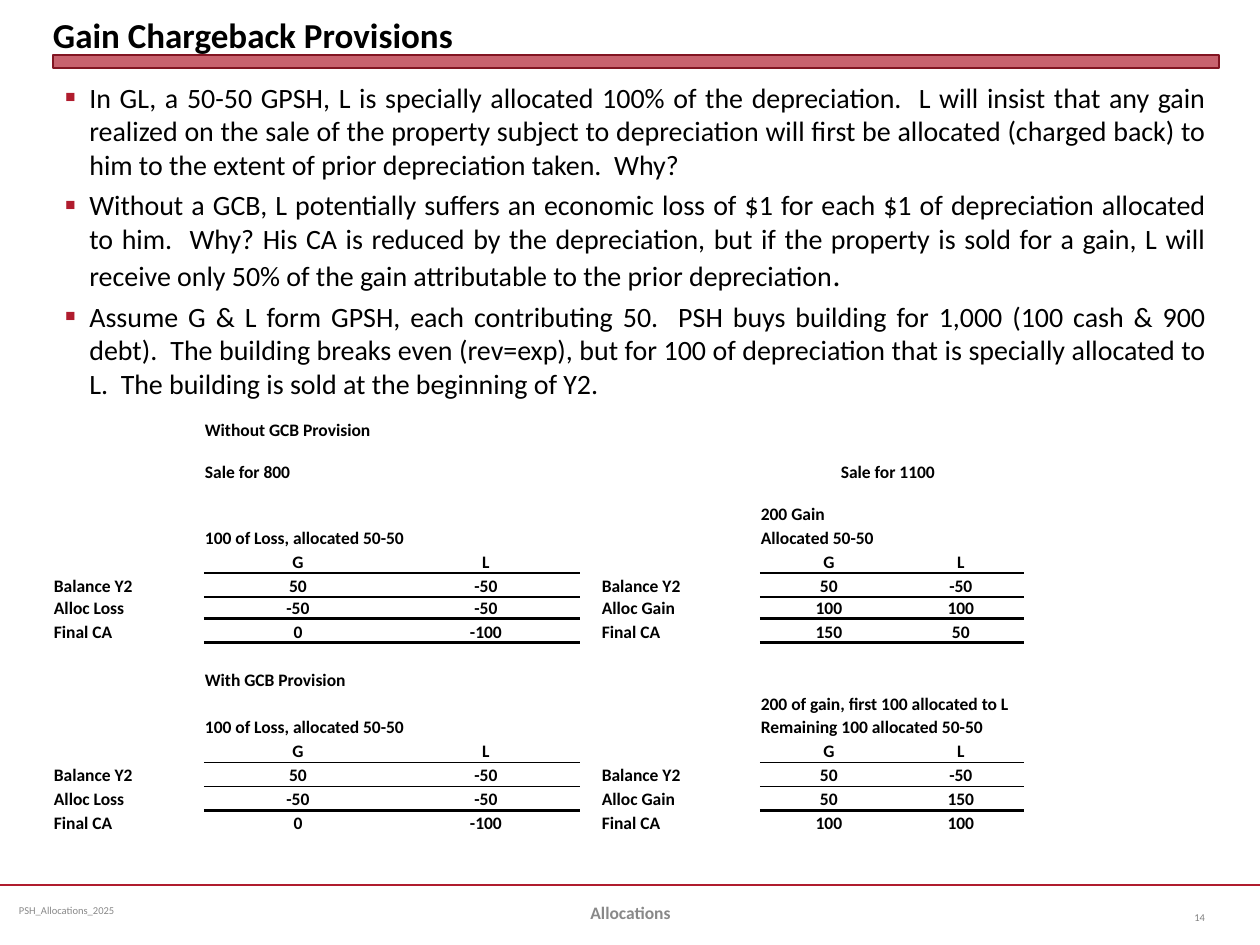
from dataclasses import dataclass

import pptx
import pptx.dml.color
import pptx.enum.shapes
import pptx.enum.text
import pptx.oxml
import pptx.oxml.ns
import pptx.util

ALIGN = pptx.enum.text.PP_ALIGN
ANCHOR = pptx.enum.text.MSO_ANCHOR
qn = pptx.oxml.ns.qn
NS = pptx.oxml.ns.nsdecls("a")


@dataclass(frozen=True)
class Theme:
    font: str = "Calibri"
    black: str = "000000"
    red: str = "B01C2E"
    dark_red: str = "821522"
    footer: str = "898989"
    number: str = "808080"
    title: int = 20
    body: int = 16
    large: int = 18
    table: int = 10
    small: int = 6


@dataclass(frozen=True)
class Box:
    left: int
    top: int
    width: int
    height: int

    def emu(self) -> tuple:
        return px(self.left), px(self.top), px(self.width), px(self.height)


@dataclass(frozen=True)
class Label:
    text: str
    box: Box
    size: int
    color: str
    bold: bool = False
    align: ALIGN = ALIGN.LEFT
    anchor: ANCHOR = ANCHOR.MIDDLE
    inset: tuple = (13, 6)


@dataclass(frozen=True)
class Heading:
    row: int
    col: int
    span: int
    text: str
    align: ALIGN = ALIGN.LEFT


@dataclass(frozen=True)
class Ledger:
    """Capital accounts of G and L; col holds the row names."""
    row: int
    col: int
    item: str
    allocated: tuple
    final: tuple


T = Theme()

LABELS = [
    Label("Gain Chargeback Provisions", Box(53, 6, 1166, 50), T.title, T.black,
          True, anchor=ANCHOR.BOTTOM, inset=(0, 0)),
    Label("PSH_Allocations_2025", Box(10, 885, 325, 50), T.small, T.footer, inset=(9, 5)),
    Label("Allocations", Box(431, 888, 399, 50), T.table, T.footer, True, ALIGN.CENTER),
    Label("14", Box(1155, 892, 63, 50), T.small, T.number, align=ALIGN.RIGHT),
]

# Each bullet is a list of (text, size) runs
BULLETS = [
    [("In GL, a 50-50 GPSH, L is specially allocated 100% of the depreciation.  L will insist "
      "that any gain realized on the sale of the property subject to depreciation will first be "
      "allocated (charged back) to him to the extent of prior depreciation taken.  Why?", T.body)],
    [("Without a GCB, L potentially suffers an economic loss of $1 for each $1 of depreciation "
      "allocated to him.  Why? His CA is reduced by the depreciation, but if the property is sold "
      "for a gain, L will receive only 50% of the gain attributable to the prior depreciation",
      T.body), (".", T.large)],
    [("Assume G & L form GPSH, each contributing 50.  PSH buys building for 1,000 (100 cash & 900 "
      "debt).  The building breaks even (rev=exp), but for 100 of depreciation that is specially "
      "allocated to L.  The building is sold at the beginning of Y2.", T.body)],
]

COLS = [151, 188, 188, 21, 159, 138, 38, 88, 236]
ROWS = [42] * 3 + [24] * 3 + [22] + [24] * 9

HEADINGS = [
    Heading(0, 1, 2, "Without GCB Provision"),
    Heading(1, 1, 1, "Sale for 800"),
    Heading(1, 5, 2, "Sale for 1100", ALIGN.RIGHT),
    Heading(2, 5, 2, "200 Gain"),
    Heading(3, 1, 4, "100 of Loss, allocated 50-50"),
    Heading(3, 5, 3, "Allocated 50-50"),
    Heading(9, 1, 2, "With GCB Provision"),
    Heading(10, 5, 4, "200 of gain, first 100 allocated to L"),
    Heading(11, 1, 4, "100 of Loss, allocated 50-50"),
    Heading(11, 5, 4, "Remaining 100 allocated 50-50"),
]

LEDGERS = [
    Ledger(4, 0, "Alloc Loss", (-50, -50), (0, -100)),
    Ledger(4, 4, "Alloc Gain", (100, 100), (150, 50)),
    Ledger(12, 0, "Alloc Loss", (-50, -50), (0, -100)),
    Ledger(12, 4, "Alloc Gain", (50, 150), (100, 100)),
]


def px(n: int) -> int:
    return round(n * 914400 / 126)


def rgb(color: str) -> pptx.dml.color.RGBColor:
    return pptx.dml.color.RGBColor.from_string(color)


def style(r, size: int, color: str = T.black, bold: bool = False) -> None:
    r.font.name, r.font.size, r.font.bold = T.font, pptx.util.Pt(size), bold
    r.font.color.rgb = rgb(color)


def add_label(s, label: Label) -> None:
    tf = s.shapes.add_textbox(*label.box.emu()).text_frame
    tf.word_wrap, tf.vertical_anchor = True, label.anchor
    tf.margin_left = tf.margin_right = px(label.inset[0])
    tf.margin_top = tf.margin_bottom = px(label.inset[1])
    p = tf.paragraphs[0]
    p.text, p.alignment = label.text, label.align
    style(p.runs[0], label.size, label.color, label.bold)


def add_bullets(s, box: Box) -> None:
    tf = s.shapes.add_textbox(*box.emu()).text_frame
    tf.word_wrap = True
    for i, parts in enumerate(BULLETS):
        p = tf.add_paragraph() if i else tf.paragraphs[0]
        p.alignment = ALIGN.JUSTIFY
        if i:
            p.space_before = pptx.util.Pt(3.84)
        pPr = p._p.get_or_add_pPr()
        pPr.set("marL", str(px(24)))
        pPr.set("indent", str(-px(24)))
        for xml in (f'<a:buClr {NS}><a:srgbClr val="{T.red}"/></a:buClr>',
                    f'<a:buSzPct {NS} val="60000"/>',
                    f'<a:buFont {NS} typeface="Arial"/>',
                    f'<a:buChar {NS} char="■"/>'):
            pPr.append(pptx.oxml.parse_xml(xml))
        for text, size in parts:
            r = p.add_run()
            r.text = text
            style(r, size)


def set_cell(table, row: int, col: int, text: str, align: ALIGN = ALIGN.LEFT) -> None:
    p = table.cell(row, col).text_frame.paragraphs[0]
    p.text, p.alignment = text, align
    style(p.runs[0], T.table, bold=True)


def add_border(cell, side: str, points: int) -> None:
    cell._tc.get_or_add_tcPr().insert(0, pptx.oxml.parse_xml(
        f'<a:{side} {NS} w="{pptx.util.Pt(points)}"><a:solidFill>'
        f'<a:srgbClr val="{T.black}"/></a:solidFill></a:{side}>'))


def fill_ledger(table, ledger: Ledger) -> None:
    lines = [("", ("G", "L"), "lnB", 1), ("Balance Y2", (50, -50), "lnT", 1),
             (ledger.item, ledger.allocated, "lnB", 2), ("Final CA", ledger.final, "lnT", 2)]
    g = ledger.col + 1
    for row, (name, values, side, width) in enumerate(lines, ledger.row):
        if name:
            set_cell(table, row, ledger.col, name)
        last = g + 1
        if ledger.col:  # the right-hand L account covers two columns
            last = g + 2
            table.cell(row, g + 1).merge(table.cell(row, last))
        for col, value in zip((g, g + 1), values):
            set_cell(table, row, col, str(value), ALIGN.CENTER)
        for col in range(g, last + 1):
            add_border(table.cell(row, col), side, width)


def add_accounts(s, box: Box) -> None:
    sp = s.shapes.add_table(len(ROWS), len(COLS), *box.emu())
    table = sp.table
    table.first_row = table.horz_banding = False
    # "No Style, No Grid"
    next(sp._element.iter(qn("a:tableStyleId"))).text = "{2D5ABB26-0587-4C30-8999-92F81FD0307C}"
    for column, width in zip(table.columns, COLS):
        column.width = px(width)
    for row, height in zip(table.rows, ROWS):
        row.height = px(height)
    for cell in table.iter_cells():
        cell.fill.background()
        cell.vertical_anchor = ANCHOR.BOTTOM
        cell.margin_left = cell.margin_right = cell.margin_top = px(1)
        cell.margin_bottom = 0
        # keeps empty cells from stretching their row
        cell.text_frame.paragraphs[0]._p.append(pptx.oxml.parse_xml(
            f'<a:endParaRPr {NS} sz="{T.table * 100}"/>'))
    for h in HEADINGS:
        if h.span > 1:
            table.cell(h.row, h.col).merge(table.cell(h.row, h.col + h.span - 1))
        set_cell(table, h.row, h.col, h.text, h.align)
    for ledger in LEDGERS:
        fill_ledger(table, ledger)


def add_rules(s) -> None:
    # Footer line
    line = s.shapes.add_connector(pptx.enum.shapes.MSO_CONNECTOR.STRAIGHT,
                                  0, px(885), px(1260), px(885))
    line.line.color.rgb, line.line.width = rgb(T.red), pptx.util.Pt(1.25)
    line._element.spPr.append(pptx.oxml.parse_xml(f"<a:effectLst {NS}/>"))
    # Translucent bar under the title
    bar = s.shapes.add_shape(pptx.enum.shapes.MSO_SHAPE.RECTANGLE, *Box(53, 55, 1166, 13).emu())
    bar.shadow.inherit = False
    bar.fill.solid()
    bar.fill.fore_color.rgb = rgb(T.red)
    next(bar._element.spPr.iter(qn("a:srgbClr"))).append(
        pptx.oxml.parse_xml(f'<a:alpha {NS} val="69000"/>'))
    bar.line.color.rgb, bar.line.width = rgb(T.dark_red), 0


def main() -> None:
    prs = pptx.Presentation()
    prs.slide_width, prs.slide_height = px(1260), px(945)
    s = prs.slides.add_slide(prs.slide_layouts[6])
    add_rules(s)
    add_bullets(s, Box(53, 74, 1166, 801))
    add_accounts(s, Box(53, 399, sum(COLS), sum(ROWS)))
    for label in LABELS:
        add_label(s, label)
    prs.save("out.pptx")


if __name__ == "__main__":
    main()
